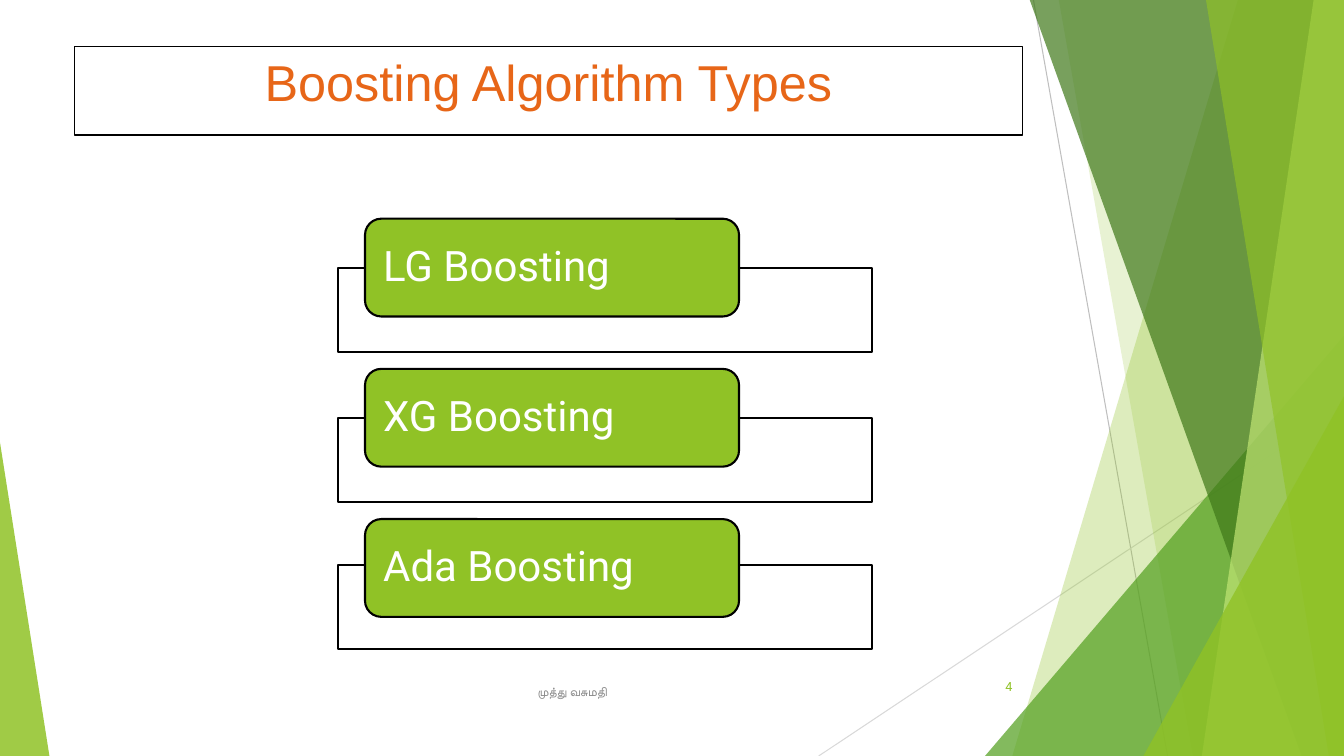
import dataclasses

import lxml.etree
import pptx
import pptx.dml.color
import pptx.enum.shapes
import pptx.enum.text
import pptx.oxml.ns
import pptx.util

Inches = pptx.util.Inches
Shapes = pptx.enum.shapes.MSO_SHAPE
Align = pptx.enum.text.PP_ALIGN
Anchor = pptx.enum.text.MSO_ANCHOR


@dataclasses.dataclass(frozen=True)
class Theme:
    lime: str = "90C226"
    green: str = "54A021"
    forest: str = "3F7819"
    pale: str = "C0E474"
    orange: str = "E76618"
    white: str = "FFFFFF"
    black: str = "000000"
    grey: str = "8C8C8C"
    ray_dark: str = "BFBFBF"
    ray_light: str = "D9D9D9"
    heading_font: str = "Arial"
    body_font: str = "Roboto"
    title_size: int = 36
    label_size: int = 30
    small_size: int = 9
    thin: float = 0.75
    thick: float = 1.5


THEME = Theme()
WIDTH, HEIGHT = 13.33, 7.5
ROW_TOP, ROW_PITCH = 2.17, 1.49
ROWS = [("LG Boosting", 2.66), ("XG Boosting", 4.15), ("Ada Boosting", 5.61)]


def rgb(colour):
    return pptx.dml.color.RGBColor.from_string(colour)


def apply(target, values):
    for name, value in values.items():
        setattr(target, name, value)


def paint(shape, fill=None, alpha=100, line=None, weight=THEME.thin):
    shape.shadow.inherit = False
    if fill:
        shape.fill.solid()
        shape.fill.fore_color.rgb = rgb(fill)
        colour = shape.fill._xPr.find(".//" + pptx.oxml.ns.qn("a:srgbClr"))
        if alpha < 100:
            tag = pptx.oxml.ns.qn("a:alpha")
            lxml.etree.SubElement(colour, tag, val=str(alpha * 1000))
    else:
        shape.fill.background()
    if line:
        shape.line.color.rgb = rgb(line)
        shape.line.width = pptx.util.Pt(weight)
    else:
        shape.line.fill.background()


def add_ray(page, start, end, colour):
    ray = page.shapes.add_connector(
        pptx.enum.shapes.MSO_CONNECTOR.STRAIGHT,
        *(Inches(value) for value in start + end),
    )
    ray.line.color.rgb = rgb(colour)
    ray.line.width = pptx.util.Pt(THEME.thin)
    lxml.etree.SubElement(ray._element.spPr, pptx.oxml.ns.qn("a:effectLst"))


def add_blade(page, top_left, bottom_left, fill, alpha):
    corners = [(top_left, -0.01), (WIDTH, -0.01), (WIDTH, HEIGHT), (bottom_left, HEIGHT)]
    points = [(Inches(x), Inches(y)) for x, y in corners]
    builder = page.shapes.build_freeform(*points[0])
    builder.add_line_segments(points[1:], close=True)
    paint(builder.convert_to_shape(), fill, alpha)


def add_preset(page, kind, place, **look):
    shape = page.shapes.add_shape(kind, *(Inches(value) for value in place))
    paint(shape, **look)
    return shape


def add_triangle(page, place, apex, fill, alpha):
    triangle = add_preset(page, Shapes.ISOSCELES_TRIANGLE, place, fill=fill, alpha=alpha)
    triangle.adjustments[0] = apex


def write(box, text, font, size, colour, align=Align.LEFT, anchor=Anchor.MIDDLE,
          insets=(0.1, 0.05, 0.1, 0.05), spacing=1.0):
    frame = box.text_frame
    sides = ("margin_left", "margin_top", "margin_right", "margin_bottom")
    margins = dict(zip(sides, map(Inches, insets)))
    apply(frame, {"word_wrap": True, "vertical_anchor": anchor, **margins})
    para = frame.paragraphs[0]
    apply(para, {"alignment": align, "line_spacing": spacing})
    span = para.add_run()
    span.text = text
    apply(span.font, {"name": font, "size": pptx.util.Pt(size)})
    span.font.color.rgb = rgb(colour)


def add_text(page, place, *content, **layout):
    box = page.shapes.add_textbox(*(Inches(value) for value in place))
    write(box, *content, **layout)


def add_backdrop(page):
    add_ray(page, (10.25, 0), (11.58, HEIGHT), THEME.ray_dark)
    add_ray(page, (WIDTH, 4.03), (8.12, HEIGHT), THEME.ray_light)
    add_blade(page, 12.28, 10.04, THEME.lime, 30)
    add_blade(page, 10.5, 11.83, THEME.lime, 20)
    add_triangle(page, (9.77, 3.33, 3.56, 4.17), 1, THEME.green, 72)
    add_blade(page, 10.21, 12.91, THEME.forest, 70)
    add_blade(page, 13.03, 11.92, THEME.pale, 70)
    add_blade(page, 11.96, 13.18, THEME.lime, 65)
    add_triangle(page, (11.34, 3.93, 1.99, 3.57), 1, THEME.lime, 80)
    add_triangle(page, (0, 4.39, 0.49, 3.11), 0, THEME.lime, 85)


def add_title(page, text):
    title = add_preset(page, Shapes.RECTANGLE, (0.74, 0.46, 9.4, 0.88), line=THEME.black)
    write(title, text, THEME.heading_font, THEME.title_size, THEME.orange,
          align=Align.CENTER, anchor=Anchor.TOP)


def add_algorithm(page, label, top, frame_top):
    outline = {"line": THEME.black, "weight": THEME.thick}
    add_preset(page, Shapes.RECTANGLE, (3.35, frame_top, 5.3, 0.83),
               fill=THEME.white, alpha=90, **outline)
    add_preset(page, Shapes.ROUNDED_RECTANGLE, (3.62, top, 3.71, 0.97),
               fill=THEME.lime, **outline)
    add_text(page, (3.66, top + 0.05, 3.62, 0.87), label, THEME.body_font,
             THEME.label_size, THEME.white, insets=(0.14, 0, 0.14, 0), spacing=0.9)


def main():
    deck = pptx.Presentation()
    apply(deck, {"slide_width": Inches(WIDTH), "slide_height": Inches(HEIGHT)})
    page = deck.slides.add_slide(deck.slide_layouts[6])
    add_backdrop(page)
    add_title(page, "Boosting Algorithm Types")
    for index, (label, frame_top) in enumerate(ROWS):
        add_algorithm(page, label, ROW_TOP + index * ROW_PITCH, frame_top)
    add_text(page, (3.22, 6.73, 6.89, 0.4), "முத்து வசுமதி", THEME.body_font,
             THEME.small_size, THEME.grey, insets=(2.11, 0, 0.1, 0.13))
    add_text(page, (9.39, 6.61, 0.75, 0.4), "4", THEME.body_font,
             THEME.small_size, THEME.lime, align=Align.RIGHT)
    deck.save("out.pptx")


main()
